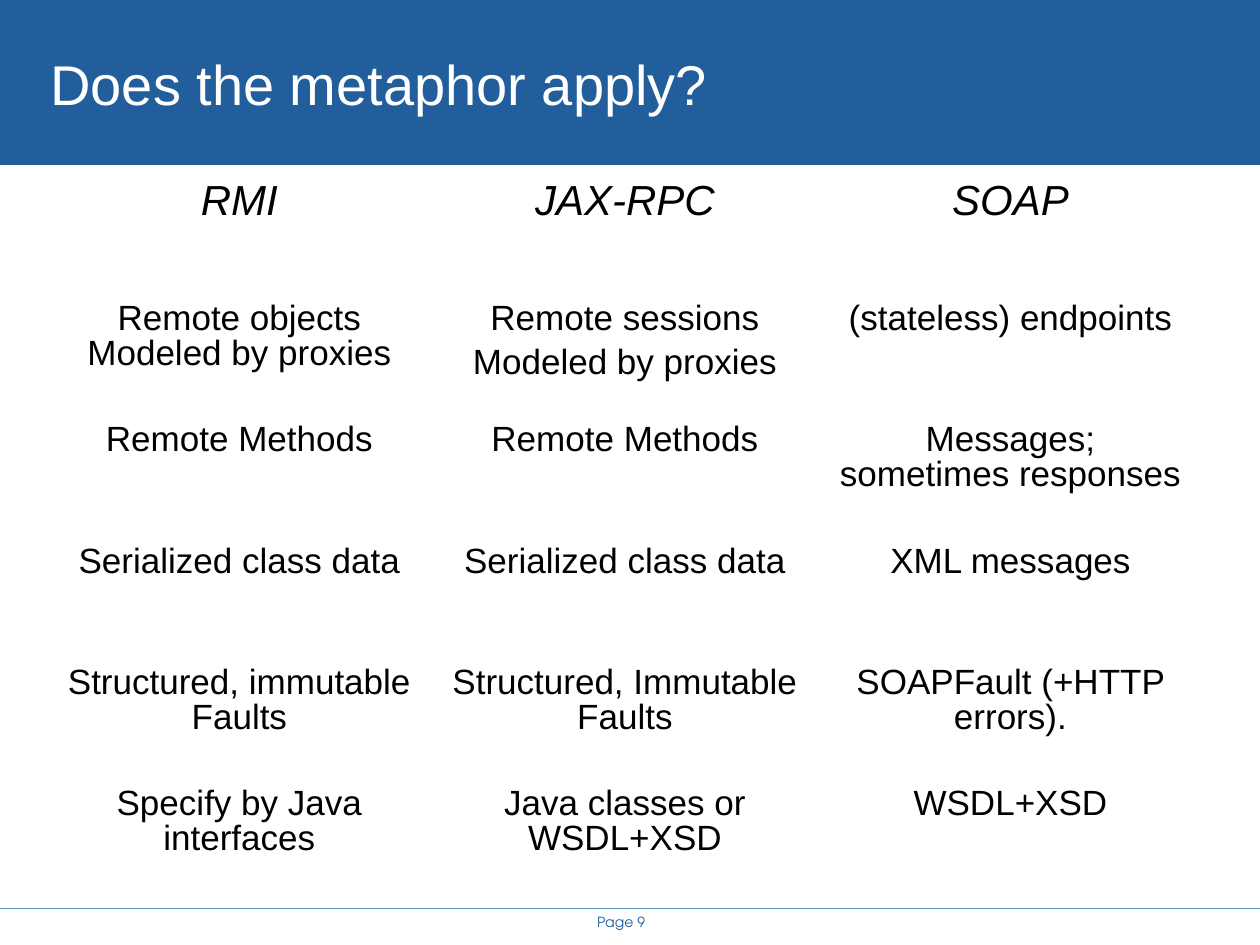
import pptx
import pptx.util
import pptx.dml.color
import pptx.enum.text
import pptx.enum.shapes
import pptx.oxml.ns
import lxml.etree

Pt = pptx.util.Pt
RGB = pptx.dml.color.RGBColor
ALIGN = pptx.enum.text.PP_ALIGN
ANCHOR = pptx.enum.text.MSO_ANCHOR
FIT = pptx.enum.text.MSO_AUTO_SIZE

NAVY = RGB(0x21, 0x5E, 0x9B)
STEEL = RGB(0x5A, 0x93, 0xB6)
WHITE = RGB(0xFF, 0xFF, 0xFF)
BLACK = RGB(0, 0, 0)

ROWS = [
    ["RMI", "JAX-RPC", "SOAP"],
    ["Remote objects\nModeled by proxies",
     ["Remote sessions", "Modeled by proxies"],
     "(stateless) endpoints"],
    ["Remote Methods", "Remote Methods", "Messages;\nsometimes responses"],
    ["Serialized class data", "Serialized class data", "XML messages"],
    ["Structured, immutable Faults", "Structured, Immutable Faults",
     "SOAPFault (+HTTP errors)."],
    ["Specify by Java interfaces", "Java classes or WSDL+XSD", "WSDL+XSD"],
]


class Deck:
    main = "Arial"
    foot = "TeX Gyre Adventor"

    def __init__(self, wide, high):
        self.file = pptx.Presentation()
        self.file.slide_width = self.wide = pptx.util.Inches(wide)
        self.file.slide_height = self.high = pptx.util.Inches(high)
        self.slide = self.file.slides.add_slide(self.file.slide_layouts[5])
        self.shapes = self.slide.shapes

    def box(self, x, y, w, h):
        return (int(x * self.wide), int(y * self.high),
                int(w * self.wide), int(h * self.high))

    def words(self, para, text, size, color, font, italic=False):
        for i, line in enumerate(text.split("\n")):
            if i:
                para.add_line_break()
            run = para.add_run()
            run.text = line
            run.font.size = Pt(size)
            run.font.name = font
            run.font.italic = italic
            run.font.color.rgb = color

    def frame(self, shape, fit):
        frame = shape.text_frame
        frame.margin_left = frame.margin_right = 0
        frame.margin_top = frame.margin_bottom = 0
        frame.auto_size = fit
        return frame

    def band(self, *area):
        rect = pptx.enum.shapes.MSO_SHAPE.RECTANGLE
        band = self.shapes.add_shape(rect, *self.box(*area))
        band.shadow.inherit = False
        band.fill.solid()
        band.fill.fore_color.rgb = NAVY
        band.line.fill.background()
        self.shapes.title.element.addprevious(band.element)

    def title(self, text, *area):
        title = self.shapes.title
        title.left, title.top, title.width, title.height = self.box(*area)
        frame = self.frame(title, FIT.NONE)
        frame.vertical_anchor = ANCHOR.MIDDLE
        para = frame.paragraphs[0]
        para.alignment = ALIGN.LEFT
        self.words(para, text, 32, WHITE, self.main)

    def rule(self, y):
        left, top, right, _ = self.box(0, y, 1, 0)
        kind = pptx.enum.shapes.MSO_CONNECTOR.STRAIGHT
        rule = self.shapes.add_connector(kind, left, top, right, top)
        rule.line.color.rgb = STEEL
        rule.line.width = Pt(0.75)
        props = rule.element.spPr
        lxml.etree.SubElement(props, pptx.oxml.ns.qn("a:effectLst"))

    def page(self, text, *area):
        label = self.shapes.add_textbox(*self.box(*area))
        frame = self.frame(label, FIT.SHAPE_TO_FIT_TEXT)
        frame.word_wrap = False
        para = frame.paragraphs[0]
        para.alignment = ALIGN.CENTER
        self.words(para, text, 8, NAVY, self.foot)

    def table(self, rows, *area):
        table = self.shapes.add_table(
            len(rows), len(rows[0]), *self.box(*area)).table
        table.first_row = table.horz_banding = False
        for r, row in enumerate(rows):
            for c, text in enumerate(row):
                self.cell(table.cell(r, c), text, head=r == 0)

    def cell(self, cell, text, head):
        cell.fill.background()
        size, gap = (24, 3) if head else (20, 2.5)
        frame = cell.text_frame
        for i, part in enumerate([text] if isinstance(text, str) else text):
            para = frame.add_paragraph() if i else frame.paragraphs[0]
            para.alignment = ALIGN.CENTER
            para.line_spacing = 0.9
            para.space_before = Pt(gap if i else 0)
            para.space_after = Pt(gap)
            self.words(para, part, size, BLACK, self.main, head)


def main():
    deck = Deck(10, 7.5)
    deck.band(0, 0, 1, 1.31 / 7.5)
    deck.title("Does the metaphor apply?", 0.04, 0.21 / 7.5, 0.8, 0.12)
    deck.table(ROWS, 0.037, 1.39 / 7.5, 0.918, 5.77 / 7.5)
    deck.rule(7.21 / 7.5)
    deck.page("Page 9", 0.451, 7.25 / 7.5, 0.084, 0.02)
    deck.file.save("out.pptx")


if __name__ == "__main__":
    main()
